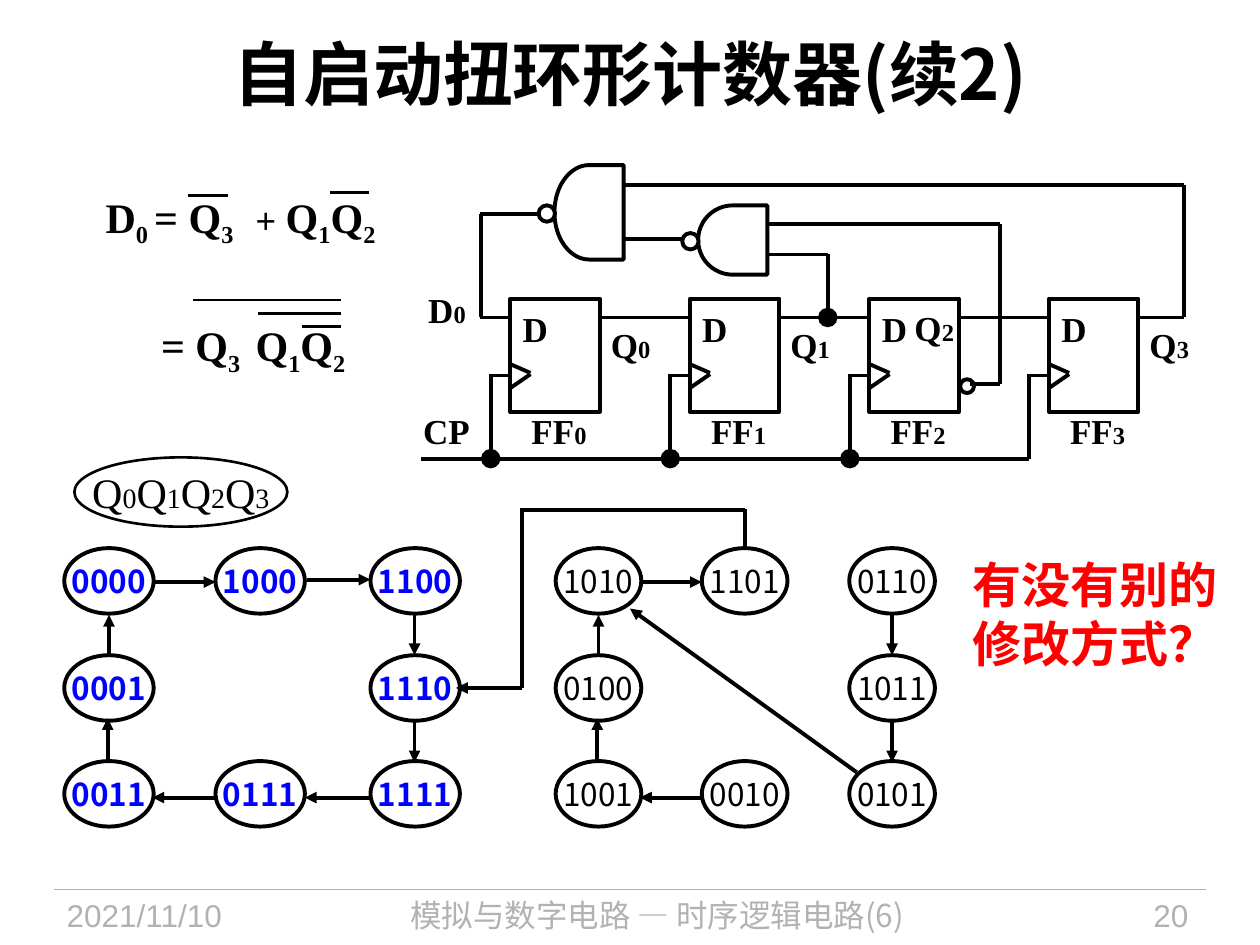
import pptx
import pptx.util
import pptx.dml.color
import pptx.enum.shapes
import pptx.enum.text
import pptx.oxml
import pptx.oxml.ns

Inches = pptx.util.Inches
Pt = pptx.util.Pt
hex_color = pptx.dml.color.RGBColor.from_string
SHAPE = pptx.enum.shapes.MSO_SHAPE
ALIGN = pptx.enum.text.PP_ALIGN
ANCHOR = pptx.enum.text.MSO_ANCHOR
FIT = pptx.enum.text.MSO_AUTO_SIZE
qn = pptx.oxml.ns.qn
SERIF, SANS, CJK = "Times New Roman", "Arial", "Noto Sans CJK SC"

deck = pptx.Presentation()
deck.slide_width = Inches(10)
deck.slide_height = Inches(7.5)
slide = deck.slides.add_slide(deck.slide_layouts[5])


def write(holder, text, size=20, font=SERIF, color="000000", bold=True,
          align=ALIGN.LEFT, sub_size=None, wrap=False, anchor=ANCHOR.TOP, fit=FIT.SHAPE_TO_FIT_TEXT):
    if isinstance(holder, tuple):
        holder = slide.shapes.add_textbox(*map(Inches, holder))
    frame = holder.text_frame
    frame.word_wrap = wrap
    frame.auto_size = fit
    frame.vertical_anchor = anchor
    paragraph = frame.paragraphs[0]
    paragraph.alignment = align
    first, *rest = text.split("_")
    pieces = [(first, False)]
    for part in rest:
        pieces += [(part[0], True), (part[1:], False)]
    for piece, is_index in pieces:
        if not piece:
            continue
        run = paragraph.add_run()
        run.text = piece
        run.font.size = Pt(sub_size if is_index and sub_size else size)
        run.font.name = font
        run.font.bold = bold
        run.font.color.rgb = hex_color(color)
        properties = run.font._element
        if is_index and not sub_size:
            properties.set("baseline", "-25000")
        east_asian = pptx.oxml.parse_xml(
            '<a:ea xmlns:a="http://schemas.openxmlformats.org/drawingml/2006/main" typeface="%s"/>' % font)
        properties.find(qn("a:latin")).addnext(east_asian)
    return holder


def draw(kind, x1, y1, x2, y2, weight=2.25, color="000000", fill=None, tail=None):
    box = [Inches(value) for value in (x1, y1, x2, y2)]
    if kind == "line":
        part = slide.shapes.add_connector(pptx.enum.shapes.MSO_CONNECTOR.STRAIGHT, *box)
    else:
        part = slide.shapes.add_shape(kind, *box)
        part.shadow.inherit = False
        if fill:
            part.fill.solid()
            part.fill.fore_color.rgb = hex_color(fill)
        else:
            part.fill.background()
    part.line.width = Pt(weight)
    part.line.color.rgb = hex_color(color)
    if kind == "line":
        outline = part.line._get_or_add_ln()
        if tail:
            extent = "lg" if tail == "oval" else "med"
            outline.append(outline.makeelement(qn("a:tailEnd"), {"type": tail, "w": extent, "len": extent}))
        outline.addnext(outline.makeelement(qn("a:effectLst"), {}))
    return part


title = slide.shapes.title
title.left, title.top, title.width, title.height = map(Inches, (0.5, 0.09, 9, 0.97))
write(title, "自启动扭环形计数器(续2)", size=40, font=CJK, align=ALIGN.CENTER,
      wrap=True, anchor=ANCHOR.MIDDLE, fit=FIT.NONE)

draw("line", 0.43, 7.06, 9.57, 7.06, weight=0.75, color="B2B2B2")
for left, width, text, font, align in [
        (0.43, 1.88, "2021/11/10", SANS, ALIGN.LEFT),
        (2.4, 5.63, "模拟与数字电路 — 时序逻辑电路(6)", CJK, ALIGN.CENTER),
        (8.2, 1.33, "20", SANS, ALIGN.RIGHT)]:
    write((left, 7.06, width, 0.44), text, size=18, font=font, color="B2B2B2",
          bold=False, align=align, wrap=True, fit=FIT.NONE)

for stage in range(4):
    last = stage == 3
    left = 4.05 + 1.425 * stage
    clock = left - 0.155
    draw(SHAPE.RECTANGLE, left, 2.37, 0.71, 0.9)
    draw("line", left, 2.89, left + 0.16, 2.96)
    draw("line", left + 0.16, 2.97, left, 3.08)
    draw("line", clock, 2.98, left, 2.98)
    draw("line", clock, 2.97, clock, 3.64, tail=None if last else "oval")
    draw("line", left + 0.71, 2.52, 9.4 if last else left + 1.425, 2.52)
    write((left, 2.39, 0.4, 0.43), "D")
    write((left + 0.07, 3.2, 0.64, 0.43), f"FF_{stage}", sub_size=14)
    output_at = (7.16, 2.38) if stage == 2 else (left + 0.7, 2.52)
    output = write((*output_at, 0.56, 0.43), f"Q_{stage}", sub_size=14)
    output.text_frame.margin_right = 0
write((3.3, 2.24, 0.5, 0.43), "D_0", sub_size=14)
write((3.26, 3.2, 0.57, 0.43), "CP")

for wire in [(3.34, 3.64, 8.17, 3.64), (4.05, 2.52, 3.81, 2.52), (3.82, 2.52, 3.82, 1.7),
             (4.28, 1.7, 3.81, 1.7), (6.57, 2.02, 6.09, 2.02), (9.4, 2.52, 9.4, 1.47),
             (9.4, 1.47, 4.72, 1.47), (7.94, 1.78, 6.1, 1.78), (7.94, 3.05, 7.94, 1.78),
             (7.94, 3.05, 7.7, 3.05), (5.42, 1.9, 4.95, 1.9)]:
    draw("line", *wire)
draw("line", 6.57, 2.02, 6.57, 2.52, tail="oval")
draw(SHAPE.OVAL, 7.62, 3.01, 0.11, 0.11)
for left, top, height, bubble_top in [(5.54, 1.63, 0.55, 1.85), (4.4, 1.31, 0.75, 1.63)]:
    gate = draw(SHAPE.FLOWCHART_DELAY, left, top, 0.55, height, fill="FFFFFF")
    gate.rotation = 180
    draw(SHAPE.OVAL, left - 0.125, bubble_top, 0.13, 0.13, fill="FFFFFF")

write((0.74, 1.47, 1.25, 0.5), "D_0_ = Q_3", size=24)
product = write((1.93, 1.47, 1.26, 0.5), "+ ", font=SANS, bold=False)
write(product, "Q_1Q_2", size=24)
write((1.18, 2.49, 0.84, 0.5), "= Q_3", size=24)
write((1.93, 2.49, 1.02, 0.5), "Q_1Q_2", size=24)
for start, end, height in [(1.49, 1.81, 1.55), (2.62, 2.93, 1.53), (2.4, 2.71, 2.59),
                           (2.05, 2.71, 2.49), (1.53, 2.71, 2.38)]:
    draw("line", start, height, end, height, weight=1.5)

legend = draw(SHAPE.OVAL, 0.59, 3.63, 1.69, 0.55, weight=1.5)
write(legend, "Q_0Q_1Q_2Q_3", size=24, sub_size=16, bold=False, align=ALIGN.CENTER,
      anchor=ANCHOR.MIDDLE, fit=FIT.NONE)
legend.text_frame.margin_left = legend.text_frame.margin_right = 0
legend.text_frame.margin_top = legend.text_frame.margin_bottom = 0

rows = (4.35, 5.2, 6.04)
main_cycle = [("0000", "1000", "1100"), ("0001", None, "1110"), ("0011", "0111", "1111")]
other_states = [("1010", "1101", "0110"), ("0100", None, "1011"), ("1001", "0010", "0101")]
for states, columns, width, color, bold in [
        (main_cycle, (0.51, 1.71, 2.94), 0.71, "0000FF", True),
        (other_states, (4.41, 5.57, 6.74), 0.68, "000000", False)]:
    for top, codes in zip(rows, states):
        for left, code in zip(columns, codes):
            if code:
                state = draw(SHAPE.OVAL, left, top, width, 0.52)
                write(state, code, size=18, font=CJK, color=color, bold=bold,
                      align=ALIGN.CENTER, anchor=ANCHOR.MIDDLE, fit=FIT.NONE)

for up in (0.865, 4.75):
    draw("line", up, 5.2, up, 4.88, tail="triangle")
    draw("line", up - 0.01, 6.03, up - 0.01, 5.7, tail="triangle")
for down in (3.29, 7.08):
    draw("line", down, 4.88, down, 5.2, tail="triangle")
    draw("line", down, 5.72, down, 6.05, tail="triangle")
for arrow in [(1.22, 4.62, 1.71, 4.62), (2.44, 4.6, 2.94, 4.6), (2.94, 6.33, 2.42, 6.33),
              (1.73, 6.33, 1.21, 6.33), (5.09, 4.62, 5.57, 4.62), (5.58, 6.33, 5.08, 6.33),
              (6.8, 6.13, 5, 4.83), (4.14, 5.46, 3.62, 5.46)]:
    draw("line", *arrow, tail="triangle")
for link in [(5.91, 4.36, 5.91, 4.04), (5.91, 4.05, 4.13, 4.05), (4.14, 4.04, 4.14, 5.46)]:
    draw("line", *link)

write((7.62, 4.35, 2.24, 1.04), "有没有别的修改方式？", size=28, font=SANS, color="FF0000", wrap=True)

deck.save("out.pptx")
